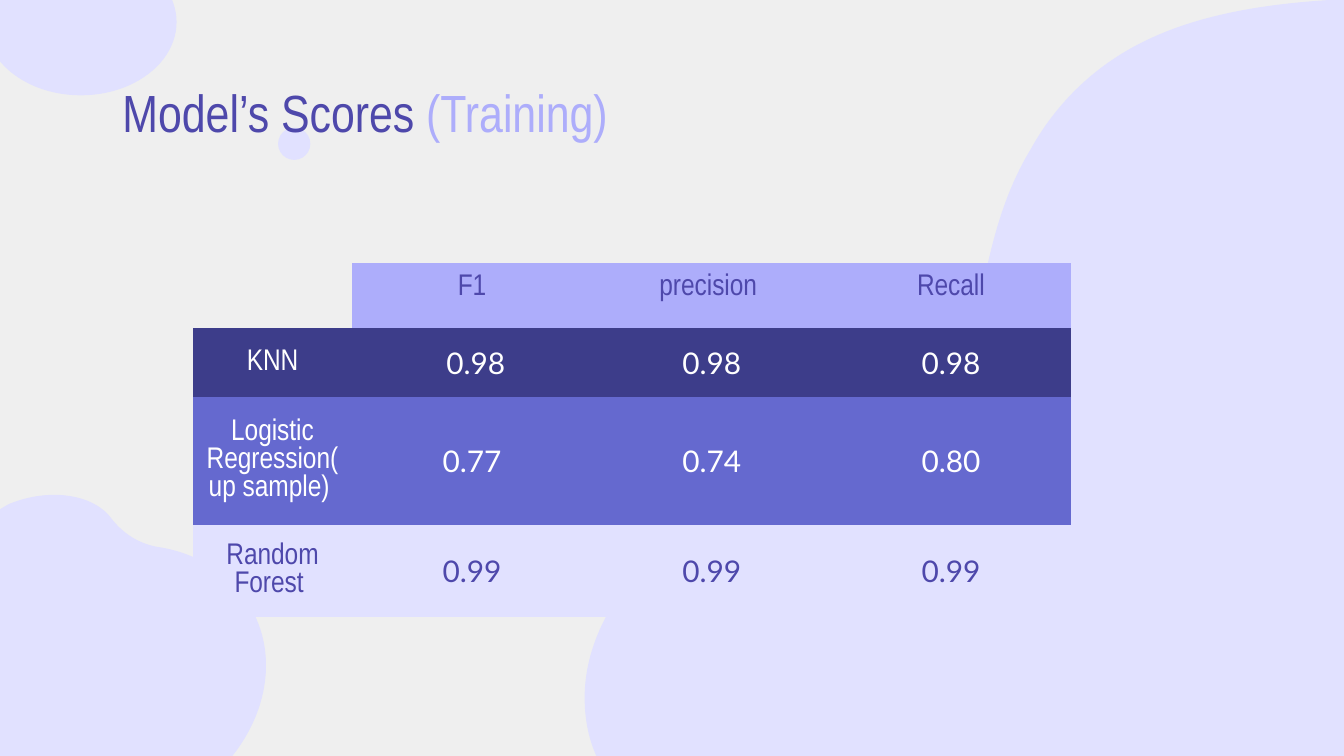
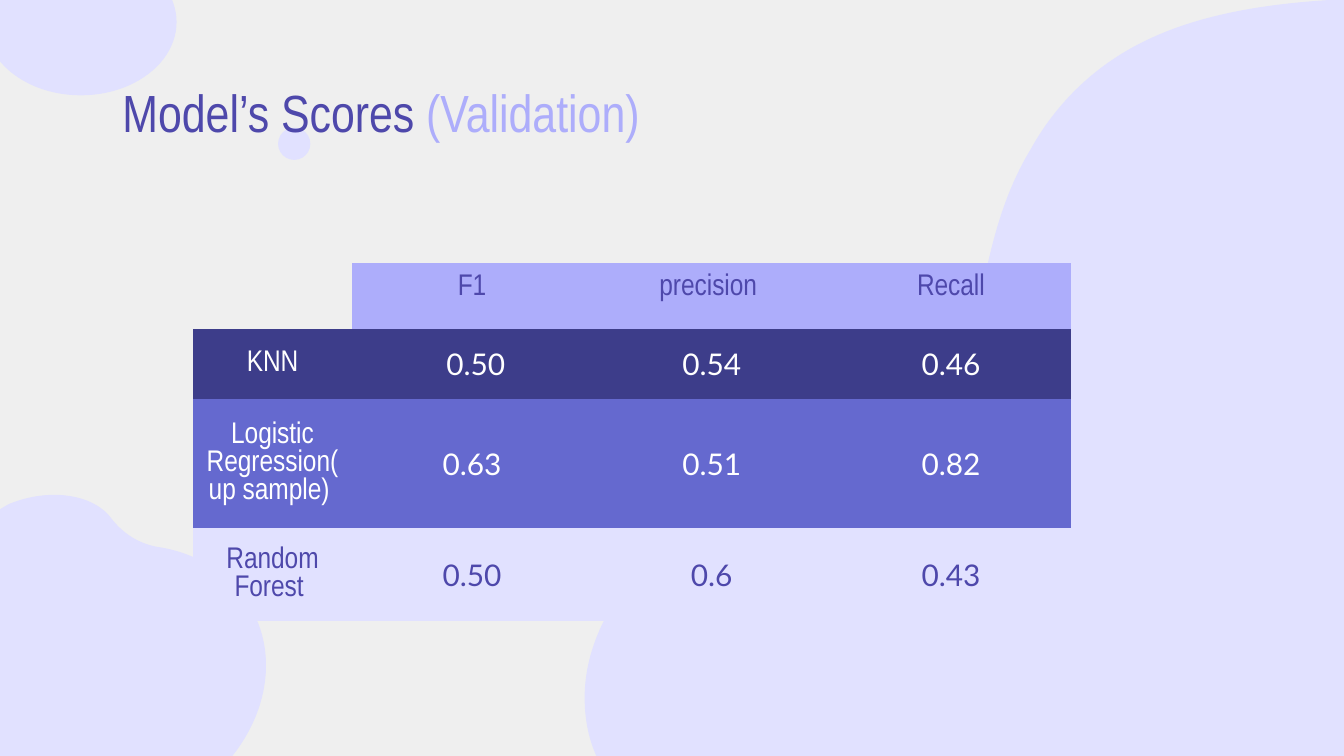
"""Build two slides that compare model scores in training and validation."""
import lxml.etree
import pptx
import pptx.util
import pptx.dml.color
import pptx.enum.shapes
import pptx.enum.text
import pptx.oxml.ns

Pt = pptx.util.Pt
RGBColor = pptx.dml.color.RGBColor
PALE = RGBColor(0xE1, 0xE1, 0xFF)
LILAC = RGBColor(0xAD, 0xAD, 0xFB)
INDIGO = RGBColor(0x4E, 0x48, 0xAB)
NAVY = RGBColor(0x3D, 0x3D, 0x8A)
VIOLET = RGBColor(0x65, 0x69, 0xCF)
WHITE = RGBColor(0xFF, 0xFF, 0xFF)
GREY = RGBColor(0xEF, 0xEF, 0xEF)
HEAD_FONT, NUMBER_FONT = "Arial Narrow", "Lato"
NO_GRID_STYLE = "{2D5ABB26-0587-4C30-8999-92F81FD0307C}"

MEASURES = ["F1", "precision ", "Recall"]
MODELS = [
    ("KNN", NAVY, WHITE),
    ("Logistic Regression(up sample) ", VIOLET, WHITE),
    ("Random Forest ", PALE, INDIGO),
]
SLIDES = [
    {
        "stage": "(Training)",
        "row_heights": [34.8, 37, 55.8, 41.4],
        "scores": [
            (" 0.98", "0.98", "0.98"),
            ("0.77", "0.74", "0.80"),
            ("0.99", "0.99", "0.99"),
        ],
    },
    {
        "stage": "(Validation)",
        "row_heights": [35.3, 37.5, 69.1, 49.8],
        "scores": [
            (" 0.50", "0.54", "0.46"),
            ("0.63", "0.51", "0.82"),
            ("0.50", "0.6", "0.43"),
        ],
    },
]
TITLE_BOX = (58.5, 22.6, 603.4, 74.2)
TABLE_LEFT, TABLE_TOP = 103.4, 141.1
COLUMN_WIDTHS = [85.2, 128.6, 128.2, 128.2]

OVALS = [
    (419, 151.9, 7.2, 7.2),
    (149, 68.4, 17.3, 17.3),
    (-8, -27.4, 102.6, 78.5),
]
LEFT_BLOB = [
    [(137.5, 331.9)],
    [(153.4, 368.6), (130.3, 415.4), (85.7, 434.2)],
    [(40.3, 452.9), (-8.6, 437), (-24.5, 400.3)],
    [(-31.7, 383), (-29.5, 362.9), (-20.9, 344.9)],
    [(-17.3, 336.2), (-18, 326.9), (-21.6, 319.7)],
    [(-23, 318.2), (-23.8, 316.8), (-23.8, 315.4)],
    [(-30.2, 300.2), (-13, 279.4), (5, 270)],
    [(28.1, 260.6), (51.1, 265.7), (59.8, 277.9)],
    [(64.8, 284.4), (72.7, 290.9), (84.2, 293)],
    [(109.4, 296.6), (128.9, 311.8), (137.5, 331.9)],
]
RIGHT_BLOB = [
    [(313.2, 373.7)],
    [(313.2, 358.6), (317.5, 343.4), (325.4, 329)],
    [(342.7, 300.2), (375.1, 276.5), (411.8, 259.9)],
    [(445, 244.1), (483.1, 232.6), (504, 208.8)],
    [(519.1, 191.5), (522, 170.6), (527, 151.2)],
    [(532.1, 126.7), (538.6, 102.2), (552.2, 79.9)],
    [(564.5, 57.6), (584.6, 36), (612.7, 22.3)],
    [(645.8, 5.8), (687.6, 0.7), (727.2, -0.7)],
    [(727.2, 404.6)],
    [(727.2, 408.9), (721.4, 413.3), (715.7, 413.3)],
    [(324, 413.3)],
    [(316.1, 401), (313.2, 387.4), (313.2, 373.7)],
]


def add_blob(slide, segments):
    """Add an outline in which each segment of three points is a cubic curve."""
    points = [(Pt(x), Pt(y)) for segment in segments for x, y in segment]
    builder = slide.shapes.build_freeform(*points[0])
    builder.add_line_segments(points[1:], close=True)
    blob = builder.convert_to_shape()
    qn = pptx.oxml.ns.qn
    lines = iter(list(blob.element.iter(qn("a:lnTo"))))
    for segment in segments[1:]:
        parts = [next(lines) for point in segment]
        if len(parts) == 3:
            curve = lxml.etree.Element(qn("a:cubicBezTo"))
            parts[0].addprevious(curve)
            for line in parts:
                curve.append(line[0])
                line.getparent().remove(line)
    return blob


def paint_pale(shape):
    """Give a background shape its flat pale fill."""
    shape.shadow.inherit = False
    shape.fill.solid()
    shape.fill.fore_color.rgb = PALE
    shape.line.fill.background()


def add_background(slide):
    """Colour the slide and add the pale blobs."""
    slide.background.fill.solid()
    slide.background.fill.fore_color.rgb = GREY
    for segments in (LEFT_BLOB, RIGHT_BLOB):
        paint_pale(add_blob(slide, segments))
    for bounds in OVALS:
        oval = pptx.enum.shapes.MSO_SHAPE.OVAL
        paint_pale(slide.shapes.add_shape(oval, *map(Pt, bounds)))


def add_text(para, text, *, size=16, font=HEAD_FONT, color=INDIGO, align=None):
    """Append a formatted span to a paragraph."""
    span = para.add_run()
    span.text = text
    span.font.size = Pt(size)
    span.font.name = font
    span.font.color.rgb = color
    if align is not None:
        para.alignment = align


def add_title(slide, stage):
    """Add the two-coloured title."""
    box = slide.shapes.add_textbox(*map(Pt, TITLE_BOX))
    frame = box.text_frame
    frame.word_wrap = True
    frame.vertical_anchor = pptx.enum.text.MSO_ANCHOR.MIDDLE
    frame.margin_left = frame.margin_right = Pt(7.2)
    frame.margin_top = frame.margin_bottom = Pt(7.2)
    add_text(frame.paragraphs[0], "Model’s Scores ", size=28)
    add_text(frame.paragraphs[0], stage, size=28, color=LILAC)


def fill_cell(cell, text, fill, anchor, **text_format):
    """Fill one table cell and write its centred text."""
    cell.fill.solid()
    cell.fill.fore_color.rgb = fill
    cell.vertical_anchor = anchor
    cell.margin_left = cell.margin_right = Pt(7.2)
    cell.margin_top = cell.margin_bottom = Pt(5.4)
    center = pptx.enum.text.PP_ALIGN.CENTER
    add_text(cell.text_frame.paragraphs[0], text, align=center, **text_format)


def add_scores(slide, row_heights, scores):
    """Add the table of scores by model and measure."""
    table = slide.shapes.add_table(
        len(row_heights), len(COLUMN_WIDTHS), Pt(TABLE_LEFT), Pt(TABLE_TOP),
        Pt(sum(COLUMN_WIDTHS)), Pt(sum(row_heights)),
    ).table
    table.first_row = table.horz_banding = False
    table._tbl.tblPr[0].text = NO_GRID_STYLE
    for column, width in zip(table.columns, COLUMN_WIDTHS):
        column.width = Pt(width)
    for row, height in zip(table.rows, row_heights):
        row.height = Pt(height)

    anchors = pptx.enum.text.MSO_ANCHOR
    table.cell(0, 0).fill.background()
    for column, measure in enumerate(MEASURES, 1):
        fill_cell(table.cell(0, column), measure, LILAC, anchors.TOP)
    for row, ((model, fill, color), values) in enumerate(zip(MODELS, scores), 1):
        fill_cell(table.cell(row, 0), model, fill, anchors.MIDDLE, color=color)
        for column, value in enumerate(values, 1):
            fill_cell(table.cell(row, column), value, fill, anchors.MIDDLE,
                      color=color, font=NUMBER_FONT)


def main():
    """Build and save the deck."""
    deck = pptx.Presentation()
    deck.slide_width, deck.slide_height = Pt(720), Pt(405)
    for content in SLIDES:
        page = deck.slides.add_slide(deck.slide_layouts[6])
        add_background(page)
        add_title(page, content["stage"])
        add_scores(page, content["row_heights"], content["scores"])
    deck.save("out.pptx")


if __name__ == "__main__":
    main()
